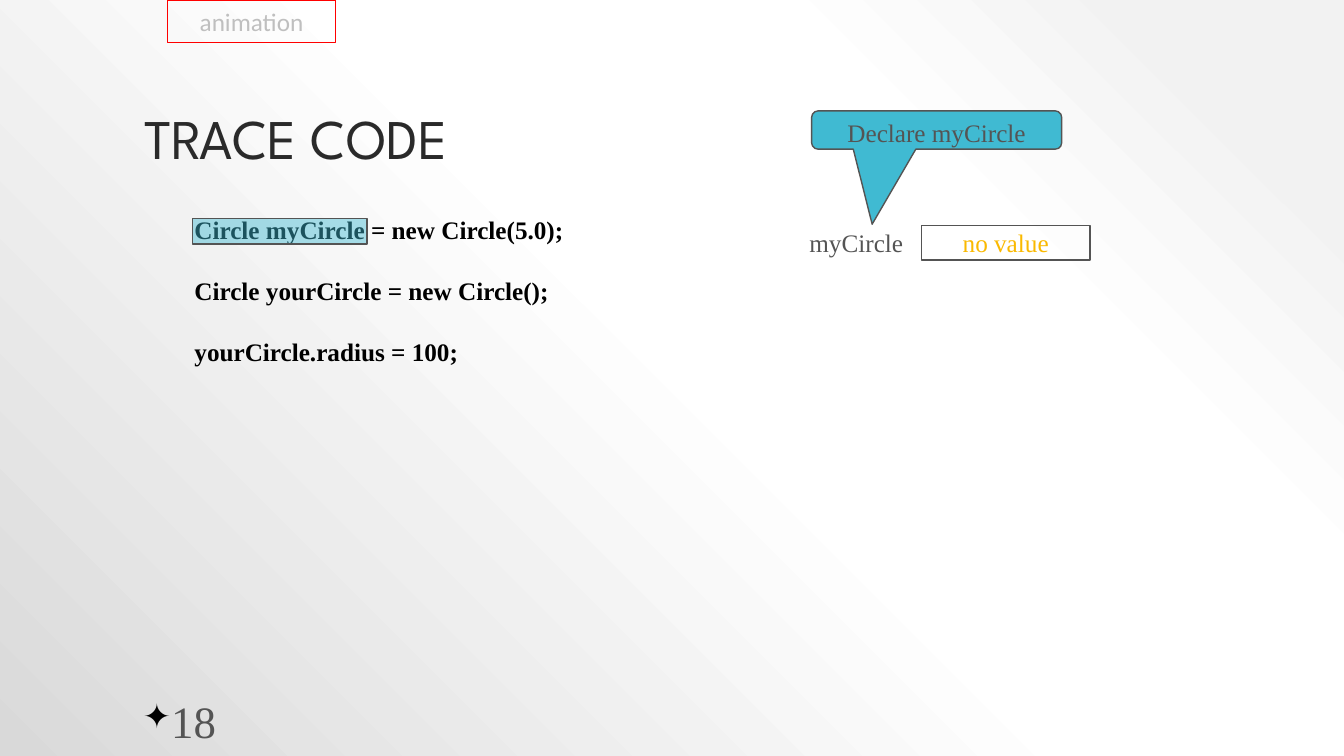
from lxml import etree
from pptx import Presentation
from pptx.dml.color import RGBColor
from pptx.enum.shapes import MSO_SHAPE as SHAPE
from pptx.enum.text import MSO_ANCHOR as ANCHOR, PP_ALIGN as ALIGN
from pptx.oxml import parse_xml
from pptx.oxml.ns import nsdecls, qn
from pptx.util import Inches, Pt

SERIF = "Times New Roman"
GREY, TEAL, GOLD = "545454", "40BAD2", "FAB900"
BACKGROUND_STOPS = [(10, "F2F2F2"), (28, "FFFFFF"), (48, "FFFFFF"), (100, "D9D9D9")]
CODE = [
    "Circle myCircle = new Circle(5.0);",
    "Circle yourCircle = new Circle();",
    "yourCircle.radius = 100;",
]


def color(hex_value):
    return RGBColor.from_string(hex_value)


def write(shape, lines, size=18, font=SERIF, ink=GREY, bold=False,
          align=ALIGN.LEFT, anchor=ANCHOR.TOP, wrap=True, gap=0):
    frame = shape.text_frame
    frame.text = "\n".join(lines)
    frame.word_wrap = wrap
    frame.vertical_anchor = anchor
    for paragraph in frame.paragraphs:
        paragraph.alignment = align
        paragraph.space_after = Pt(gap)
        for run in paragraph.runs:
            run.font.size = Pt(size)
            run.font.name = font
            run.font.bold = bold
            run.font.color.rgb = color(ink)


def add_text(slide, box, lines, **style):
    shape = slide.shapes.add_textbox(*map(Inches, box))
    write(shape, lines, **style)
    return shape


def add_box(slide, box, kind=SHAPE.RECTANGLE, fill=None, line=GREY):
    shape = slide.shapes.add_shape(kind, *map(Inches, box))
    shape.shadow.inherit = False
    if fill:
        shape.fill.solid()
        shape.fill.fore_color.rgb = color(fill)
    else:
        shape.fill.background()
    shape.line.color.rgb = color(line)
    shape.line.width = Pt(1)
    return shape


def paint_background(slide):
    """Fill the slide with a radial gradient centred on the top right corner."""
    slide.background.fill.gradient()
    old = next(slide.element.iter(qn("a:gradFill")))
    stops = "".join(
        f'<a:gs pos="{position * 1000}"><a:srgbClr val="{hex_value}"/></a:gs>'
        for position, hex_value in BACKGROUND_STOPS)
    gradient = parse_xml(
        f'<a:gradFill {nsdecls("a")} rotWithShape="1"><a:gsLst>{stops}</a:gsLst>'
        '<a:path path="circle"><a:fillToRect l="100000" b="100000"/></a:path></a:gradFill>')
    old.getparent().replace(old, gradient)


def add_title(slide, box):
    title = slide.shapes.title
    title.left, title.top, title.width, title.height = map(Inches, box)
    write(title, ["TRACE CODE"], size=40, font="League Spartan", ink="2A2A2A",
          anchor=ANCHOR.BOTTOM)
    title.text_frame.paragraphs[0].line_spacing = 0.9


def add_page_number(slide, box):
    number = add_text(slide, box, ["18"], size=32, anchor=ANCHOR.MIDDLE)
    properties = number.text_frame.paragraphs[0]._p.get_or_add_pPr()
    bullet_color = etree.SubElement(properties, qn("a:buClr"))
    etree.SubElement(bullet_color, qn("a:srgbClr"), val="000000")
    etree.SubElement(properties, qn("a:buSzPct"), val="75000")
    etree.SubElement(properties, qn("a:buChar"), char="✦")


def add_code(slide, box):
    """Place the code with its first declaration highlighted."""
    left, top, _, _ = box
    add_text(slide, box, CODE, ink="000000", bold=True, gap=22)
    highlight = add_box(slide, (left + 0.08, top + 0.09, 1.73, 0.25), fill=TEAL)
    fill_color = highlight.fill._xPr.find(qn("a:solidFill"))[0]
    etree.SubElement(fill_color, qn("a:alpha"), val="45000")


def add_variable(slide, box):
    """Place the callout over the variable's name and value."""
    left, top, width, height = box
    callout = add_box(slide, (left + 0.12, top, 2.48, 0.38),
                      SHAPE.ROUNDED_RECTANGULAR_CALLOUT, fill=TEAL)
    for index, value in enumerate((-0.258, 2.459, 0.167)):
        callout.adjustments[index] = value
    write(callout, ["Declare myCircle"], align=ALIGN.CENTER)

    value_width, value_height = 1.67, 0.34
    value = add_box(slide, (left + width - value_width, top + height - value_height,
                            value_width, value_height))
    write(value, ["no value"], ink=GOLD, align=ALIGN.CENTER,
          anchor=ANCHOR.MIDDLE, wrap=False)
    frame = value.text_frame
    frame.margin_left = frame.margin_right = Inches(0.01)
    frame.margin_top = frame.margin_bottom = Inches(0.01)
    add_text(slide, (left, top + 1.11, 1.24, 0.4), ["myCircle"])


def add_animation_tag(slide, box):
    tag = add_box(slide, box, line="FF0000")
    write(tag, ["animation"], font="Calibri", ink="BFBFBF", align=ALIGN.CENTER,
          anchor=ANCHOR.MIDDLE, wrap=False)


def main():
    presentation = Presentation()
    presentation.slide_width, presentation.slide_height = Inches(13.33), Inches(7.5)
    slide = presentation.slides.add_slide(presentation.slide_layouts[5])
    paint_background(slide)
    add_title(slide, (1.33, 0.3, 10.67, 1.45))
    add_page_number(slide, (1.32, 7.05, 7.26, 0.2))
    add_code(slide, (1.83, 2.08, 5.25, 1.6))
    add_variable(slide, (7.93, 1.1, 2.88, 1.48))
    add_animation_tag(slide, (1.66, 0, 1.67, 0.42))
    presentation.save("out.pptx")


if __name__ == "__main__":
    main()
